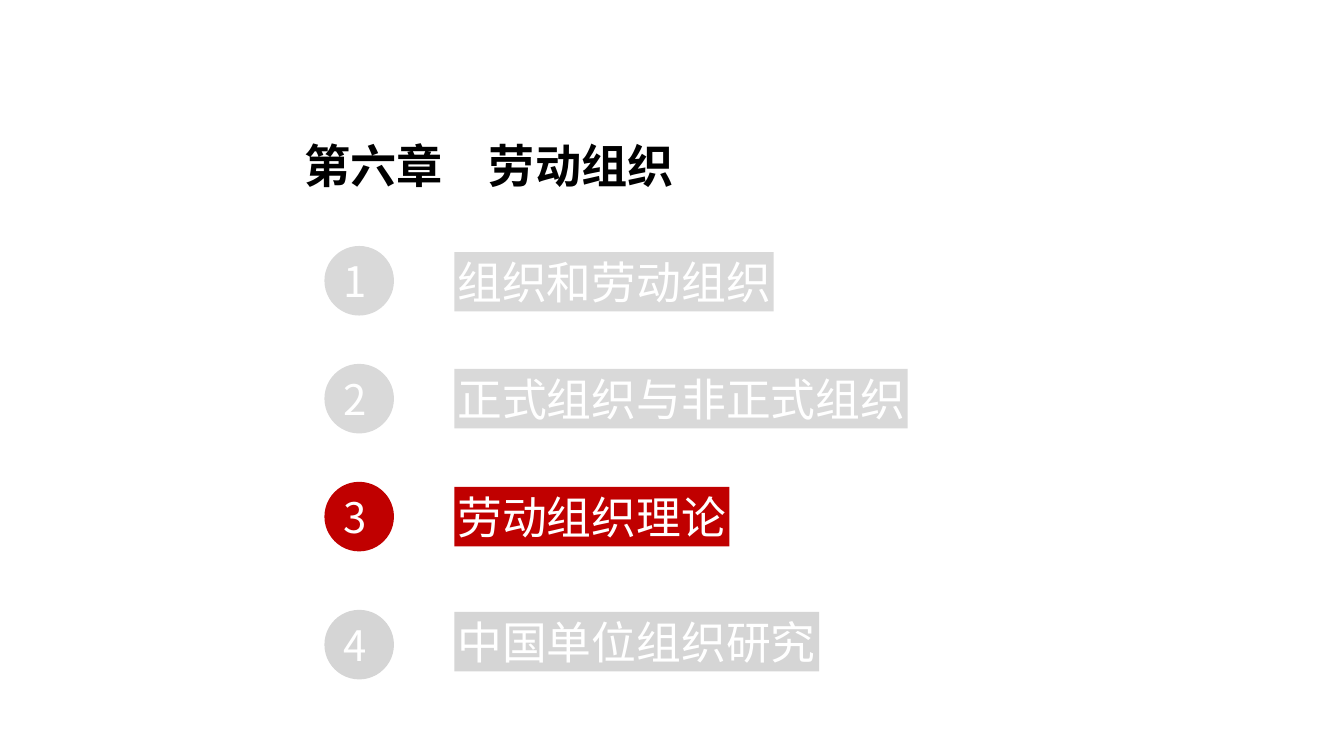
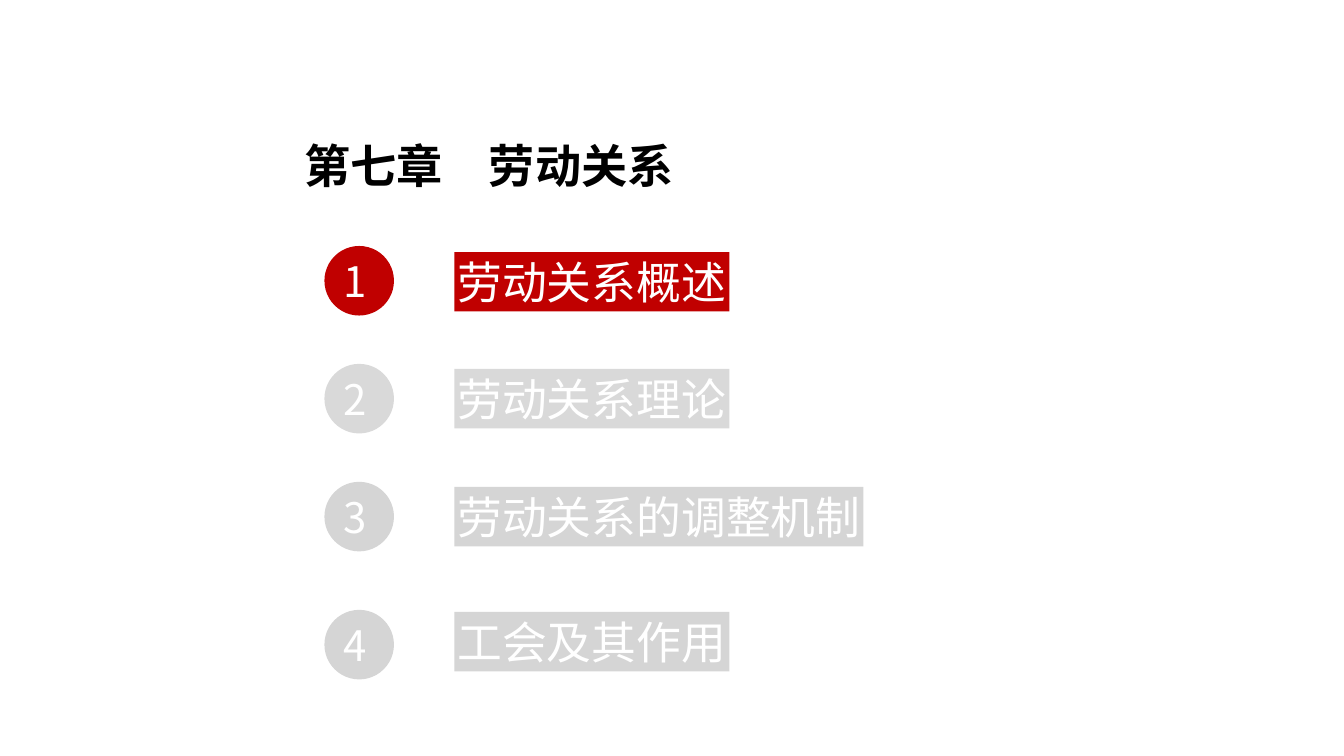
from pptx import Presentation
from pptx.dml.color import RGBColor
from pptx.enum.shapes import MSO_SHAPE
from pptx.enum.text import MSO_ANCHOR, MSO_AUTO_SIZE, PP_ALIGN
from pptx.oxml.ns import qn
from pptx.util import Pt
from lxml.etree import SubElement

# Shared style: 100 px make one inch
SCALE = 9144
COLORS = {"title": "000000", "text": "FFFFFF", "active": "C00000",
          "upper": "D9D9D9", "lower": "D5D5D5"}
CJK_FONT = "Noto Sans CJK SC"
LATIN_FONT = "Calibri"
BAR_SIZE = 32
INSET = 3

# Rows: top of the circle, top of the bar, colour while inactive
ROWS = [(244, 250, "upper"), (361, 366, "upper"),
        (478, 483, "lower"), (605, 607, "lower")]

# Chapters: title, sections, number of the active section
CHAPTERS = [
    ("第六章　劳动组织",
     ["组织和劳动组织", "正式组织与非正式组织", "劳动组织理论", "中国单位组织研究"], 3),
    ("第七章　劳动关系",
     ["劳动关系概述", "劳动关系理论", "劳动关系的调整机制", "工会及其作用"], 1),
]


def px(value):
    return round(value * SCALE)


def write(shape, text, font, size, color, inset, wrap, bold=False, spacing=1.0):
    frame = shape.text_frame
    frame.auto_size = MSO_AUTO_SIZE.NONE
    frame.word_wrap = wrap
    frame.vertical_anchor = MSO_ANCHOR.MIDDLE
    frame.margin_left = frame.margin_right = px(inset)
    frame.margin_top = frame.margin_bottom = px(inset)
    para = frame.paragraphs[0]
    para.alignment = PP_ALIGN.LEFT
    para.line_spacing = spacing
    span = para.add_run()
    span.text = text
    span.font.name = font
    span.font.size = Pt(size)
    span.font.bold = bold
    span.font.color.rgb = RGBColor.from_string(COLORS[color])
    east_asian = SubElement(span.font._element, qn("a:ea"))
    east_asian.set("typeface", CJK_FONT)


def add_filled(page, kind, left, top, width, height, color):
    shape = page.shapes.add_shape(kind, px(left), px(top), px(width), px(height))
    shape.shadow.inherit = False
    shape.fill.solid()
    shape.fill.fore_color.rgb = RGBColor.from_string(COLORS[color])
    shape.line.fill.background()
    return shape


def add_title(page, text):
    title = page.shapes.title
    # A little wider than the text, which keeps it on one line
    title.left, title.top, title.width, title.height = map(px, (299, 106, 400, 88))
    write(title, text, CJK_FONT, 33, "title", INSET, True, bold=True, spacing=1.5)


def add_section(page, number, text, active):
    circle_top, bar_top, color = ROWS[number - 1]
    if active:
        color = "active"
    circle = add_filled(page, MSO_SHAPE.OVAL, 322, circle_top, 69, 69, color)
    write(circle, f" {number}", CJK_FONT, 30, "text", 0, True)
    # Each character is one em wide, so the bar follows the text
    width = round(2 * INSET + len(text) * BAR_SIZE * 100 / 72)
    bar = add_filled(page, MSO_SHAPE.RECTANGLE, 451, bar_top, width, 59, color)
    write(bar, text, LATIN_FONT, BAR_SIZE, "text", INSET, False)


def main():
    deck = Presentation()
    deck.slide_width, deck.slide_height = px(1334), px(750)
    title_only = deck.slide_layouts[5]
    for title, sections, active in CHAPTERS:
        page = deck.slides.add_slide(title_only)
        add_title(page, title)
        for number, section in enumerate(sections, start=1):
            add_section(page, number, section, number == active)
    deck.save("out.pptx")


if __name__ == "__main__":
    main()
